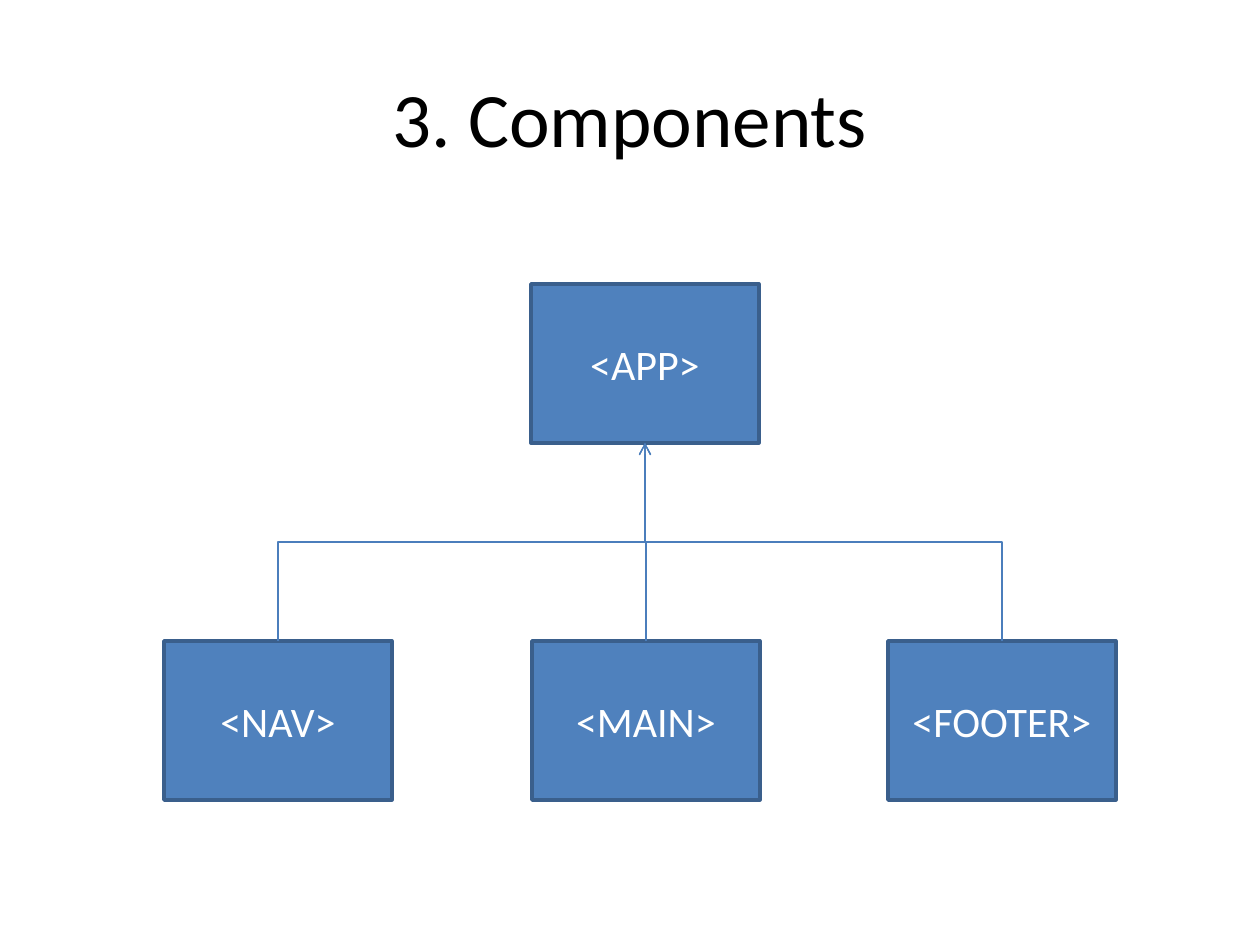
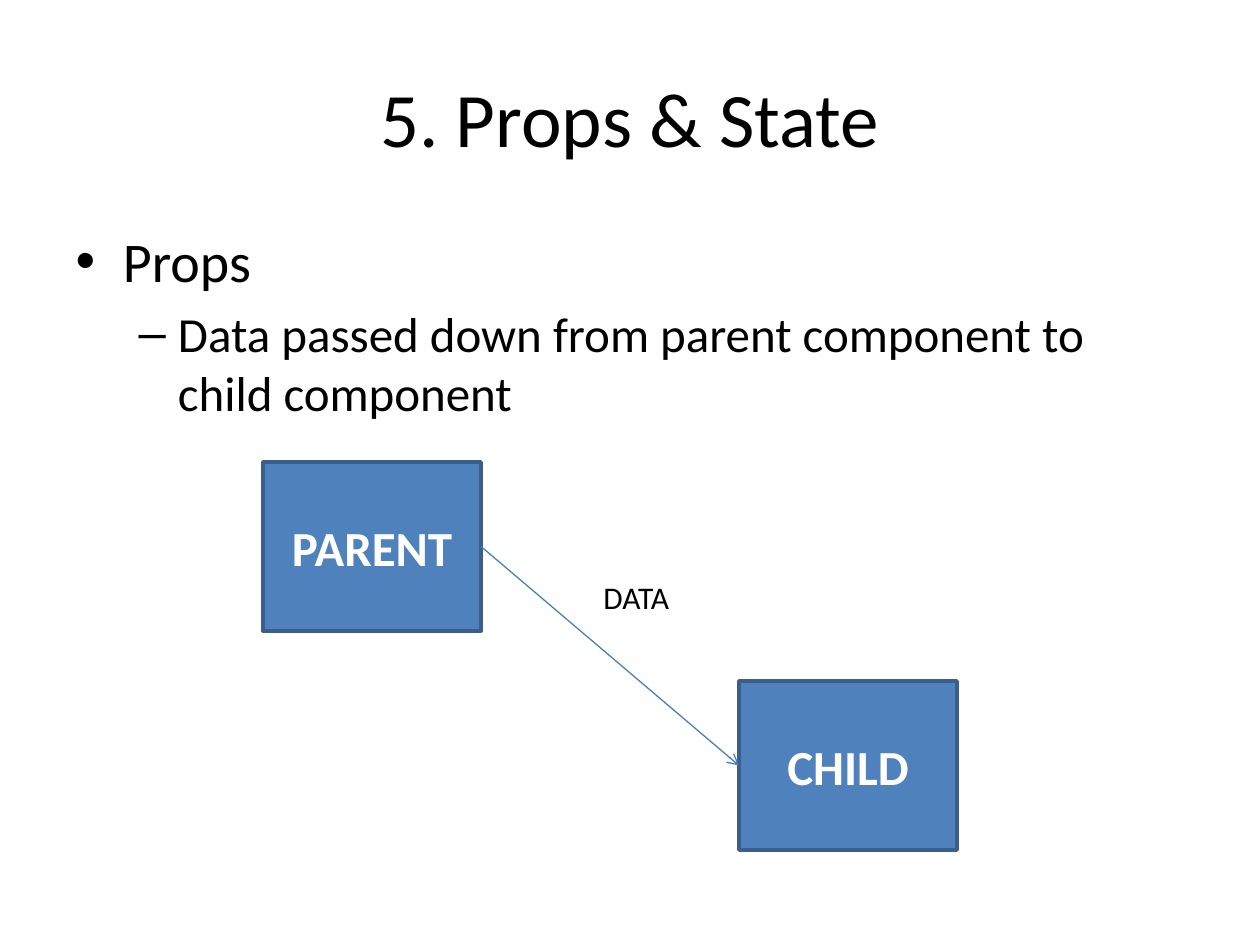
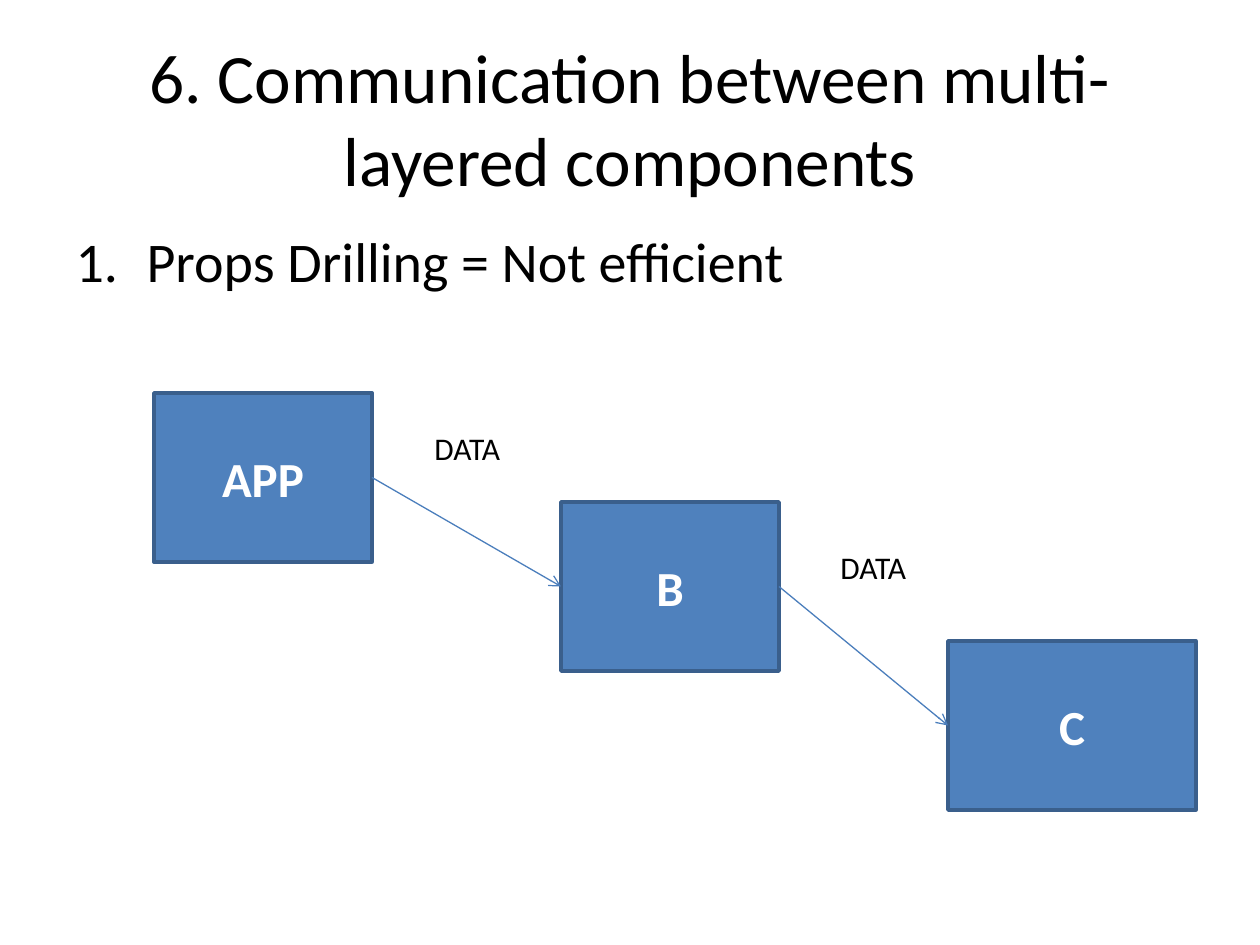
from lxml.etree import SubElement
from pptx import Presentation
from pptx.dml.color import RGBColor
from pptx.enum.shapes import MSO_CONNECTOR, MSO_SHAPE
from pptx.enum.text import MSO_ANCHOR, MSO_AUTO_SIZE, PP_ALIGN
from pptx.oxml.ns import qn
from pptx.util import Emu, Pt

BLACK = RGBColor(0x00, 0x00, 0x00)
WHITE = RGBColor(0xFF, 0xFF, 0xFF)
BOX_FILL = RGBColor(0x4F, 0x81, 0xBD)
BOX_BORDER = RGBColor(0x3A, 0x5F, 0x8C)
ARROW = RGBColor(0x4B, 0x7E, 0xBC)

FONT = "Calibri"
TITLE_ONLY = 5
TITLE_AND_BODY = 1
TITLE_AREA = (63, 38, 1134, 158)
BODY_AREA = (63, 220, 1134, 624)
TOP, LEFT, BOTTOM, RIGHT = range(4)
TREE_BOX = (228, 159)
FLOW_BOX = (218, 169)
LAST_FLOW_BOX = (248, 169)


def px(length):
    return Emu(round(length * 914400 / 126))


def place(shape, left, top, width, height):
    shape.left, shape.top = px(left), px(top)
    shape.width, shape.height = px(width), px(height)


def format_runs(para, size, color, bold=False):
    for span in para.runs:
        span.font.name = FONT
        span.font.size = Pt(size)
        span.font.color.rgb = color
        span.font.bold = bold


def add_page(deck, layout, title, size=44):
    page = deck.slides.add_slide(deck.slide_layouts[layout])
    heading = page.shapes.title
    place(heading, *TITLE_AREA)
    frame = heading.text_frame
    frame.text = title
    frame.auto_size = MSO_AUTO_SIZE.NONE
    frame.vertical_anchor = MSO_ANCHOR.MIDDLE
    frame.paragraphs[0].alignment = PP_ALIGN.CENTER
    format_runs(frame.paragraphs[0], size, BLACK)
    return page


def fill_body(page, items):
    body = page.placeholders[1]
    place(body, *BODY_AREA)
    frame = body.text_frame
    frame.text = "\n".join(items)
    for level, para in enumerate(frame.paragraphs):
        para.level = level
        format_runs(para, 32 - 4 * level, BLACK)
    return frame


def number_paragraph(para):
    properties = para._p.get_or_add_pPr()
    properties.set("marL", str(px(71)))
    properties.set("indent", str(-px(71)))
    SubElement(properties, qn("a:buFont"), typeface="+mj-lt")
    SubElement(properties, qn("a:buAutoNum"), type="arabicPeriod")


def add_box(page, text, left, top, size, font_size, bold):
    box = page.shapes.add_shape(MSO_SHAPE.RECTANGLE, 0, 0, 0, 0)
    place(box, left, top, *size)
    box.shadow.inherit = False
    box.fill.solid()
    box.fill.fore_color.rgb = BOX_FILL
    box.line.color.rgb = BOX_BORDER
    box.line.width = Pt(2)
    frame = box.text_frame
    frame.text = text
    frame.vertical_anchor = MSO_ANCHOR.MIDDLE
    frame.paragraphs[0].alignment = PP_ALIGN.CENTER
    format_runs(frame.paragraphs[0], font_size, WHITE, bold)
    return box


def add_tree_box(page, text, left, top):
    return add_box(page, text, left, top, TREE_BOX, 24, False)


def add_flow_box(page, text, left, top, size=FLOW_BOX):
    return add_box(page, text, left, top, size, 28, True)


def add_arrow(page, kind, start, start_site, end, end_site):
    arrow = page.shapes.add_connector(kind, 0, 0, 0, 0)
    arrow.begin_connect(start, start_site)
    arrow.end_connect(end, end_site)
    arrow.line.color.rgb = ARROW
    arrow.line.width = Pt(0.75)
    SubElement(arrow.line._get_or_add_ln(), qn("a:tailEnd"), type="arrow")
    SubElement(arrow._element.spPr, qn("a:effectLst"))
    return arrow


def add_flow_arrow(page, start, end):
    add_arrow(page, MSO_CONNECTOR.STRAIGHT, start, RIGHT, end, LEFT)


def add_tree_arrow(page, child, parent):
    arrow = add_arrow(page, MSO_CONNECTOR.ELBOW, child, TOP, parent, BOTTOM)
    start_x = child.left + child.width // 2
    end_x = parent.left + parent.width // 2
    start_y, end_y = child.top, parent.top + parent.height
    rise, run = start_y - end_y, abs(end_x - start_x)
    arrow.left = Emu((start_x + end_x - rise) // 2)
    arrow.top = Emu((start_y + end_y - run) // 2)
    arrow.width, arrow.height = Emu(rise), Emu(run)
    transform = arrow._element.spPr.find(qn("a:xfrm"))
    transform.set("rot", "16200000")
    transform.set("flipH", "0")
    transform.set("flipV", "1" if end_x < start_x else "0")


def add_data_label(page, left, top):
    label = page.shapes.add_textbox(px(left), px(top), px(92), px(50))
    frame = label.text_frame
    frame.text = "DATA"
    frame.word_wrap = False
    frame.auto_size = MSO_AUTO_SIZE.SHAPE_TO_FIT_TEXT
    format_runs(frame.paragraphs[0], 18, BLACK)


def build_components(deck):
    page = add_page(deck, TITLE_ONLY, "3. Components")
    app = add_tree_box(page, "<APP>", 531, 284)
    children = [
        add_tree_box(page, text, left, 641)
        for text, left in (("<NAV>", 164), ("<MAIN>", 532), ("<FOOTER>", 888))
    ]
    for child in children:
        add_tree_arrow(page, child, app)


def build_props(deck):
    page = add_page(deck, TITLE_AND_BODY, "5. Props & State")
    fill_body(page, [
        "Props",
        "Data passed down from parent component to child component",
    ])
    parent = add_flow_box(page, "PARENT", 263, 462)
    child = add_flow_box(page, "CHILD", 739, 681)
    add_flow_arrow(page, parent, child)
    add_data_label(page, 591, 572)


def build_communication(deck):
    page = add_page(
        deck, TITLE_AND_BODY,
        "6. Communication between multi-layered components", 39.6)
    frame = fill_body(page, ["Props Drilling = Not efficient"])
    number_paragraph(frame.paragraphs[0])
    app = add_flow_box(page, "APP", 154, 393)
    middle = add_flow_box(page, "B", 561, 502)
    last = add_flow_box(page, "C", 948, 641, LAST_FLOW_BOX)
    add_flow_arrow(page, app, middle)
    add_flow_arrow(page, middle, last)
    add_data_label(page, 422, 423)
    add_data_label(page, 828, 542)


def main():
    deck = Presentation()
    deck.slide_width, deck.slide_height = px(1260), px(945)
    build_components(deck)
    build_props(deck)
    build_communication(deck)
    deck.save("out.pptx")


main()
